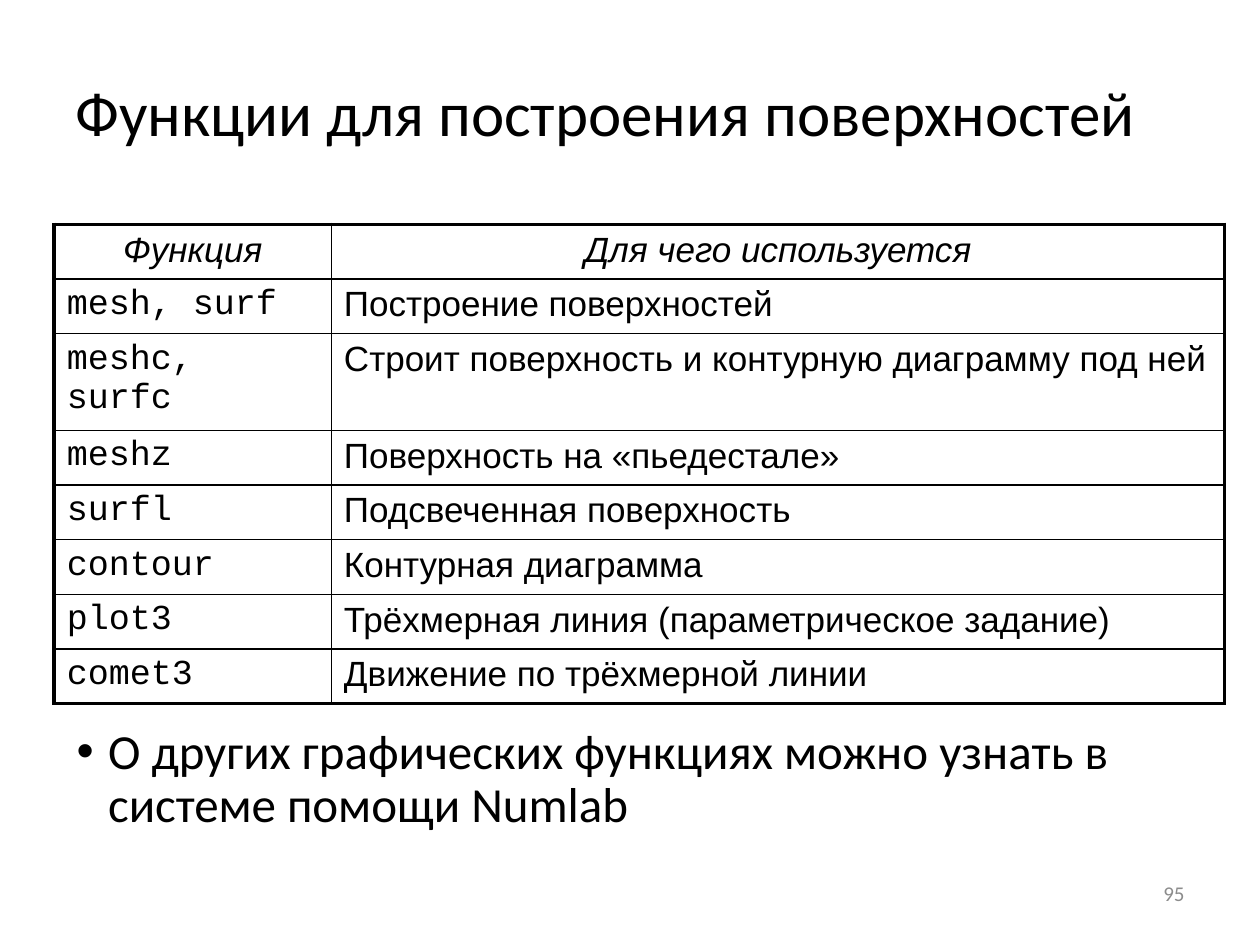
from lxml.etree import SubElement
from pptx import Presentation
from pptx.dml.color import RGBColor
from pptx.enum.text import MSO_ANCHOR, PP_ALIGN
from pptx.oxml.ns import qn
from pptx.util import Inches, Pt

BLACK = RGBColor(0, 0, 0)
GRAY = RGBColor(0x8C, 0x8C, 0x8C)

ROWS = [
    ("Функция", "Для чего используется", 0.41),
    ("mesh, surf", "Построение поверхностей", 0.41),
    ("meshc, surfc", "Строит поверхность и контурную диаграмму под ней", 0.73),
    ("meshz", "Поверхность на «пьедестале»", 0.41),
    ("surfl", "Подсвеченная поверхность", 0.41),
    ("contour", "Контурная диаграмма", 0.41),
    ("plot3", "Трёхмерная линия (параметрическое задание)", 0.41),
    ("comet3", "Движение по трёхмерной линии", 0.41),
]


def write(para, text, size, font="Calibri", color=BLACK, italic=False):
    run = para.add_run()
    run.text = text
    run.font.size = Pt(size)
    run.font.name = font
    run.font.color.rgb = color
    run.font.italic = italic


def add_text(left, top, width, height, anchor, text, size, color=BLACK):
    box = slide.shapes.add_textbox(Inches(left), Inches(top), Inches(width), Inches(height))
    frame = box.text_frame
    frame.word_wrap = True
    frame.vertical_anchor = anchor
    para = frame.paragraphs[0]
    write(para, text, size, color=color)
    return para


deck = Presentation()
deck.slide_width = Inches(10)
deck.slide_height = Inches(7.5)
slide = deck.slides.add_slide(deck.slide_layouts[6])

page = add_text(7.17, 6.83, 2.33, 0.52, MSO_ANCHOR.MIDDLE, "95", 12, GRAY)
page.alignment = PP_ALIGN.RIGHT

title = add_text(0.5, 0.3, 9, 1.25, MSO_ANCHOR.MIDDLE, "Функции для построения поверхностей", 36)
title.line_spacing = 0.9

total = sum(high for *_, high in ROWS)
frame = slide.shapes.add_table(
    len(ROWS), 2, Inches(0.43), Inches(1.78), Inches(9.29), Inches(total))
table = frame.table
table.first_row = False
table.horz_banding = False
table.columns[0].width = Inches(2.2)
table.columns[1].width = Inches(7.09)

last = len(ROWS) - 1
for r, (*row, high) in enumerate(ROWS):
    table.rows[r].height = Inches(high)
    for c, text in enumerate(row):
        cell = table.cell(r, c)
        para = cell.text_frame.paragraphs[0]
        if r == 0:
            para.alignment = PP_ALIGN.CENTER
        font = "Courier New" if r and c == 0 else "Arial"
        write(para, text, 20, font, italic=r == 0)
        props = cell._tc.get_or_add_tcPr()
        sides = {"L": c == 0, "R": c == 1, "T": r == 0, "B": r == last}
        for side, outer in sides.items():
            width = Pt(2.25 if outer else 1)
            line = SubElement(props, qn("a:ln" + side), w=str(width))
            fill = SubElement(line, qn("a:solidFill"))
            SubElement(fill, qn("a:srgbClr"), val=str(BLACK))
        cell.fill.background()

note = add_text(0.51, 5.72, 9, 1.06, MSO_ANCHOR.TOP,
                "О других графических функциях можно узнать в системе помощи Numlab", 28)
note.line_spacing = 0.9
note.space_before = Pt(10)
props = note._p.get_or_add_pPr()
props.set("marL", str(Inches(0.25)))
props.set("indent", str(Inches(-0.25)))
SubElement(props, qn("a:buFont"), typeface="Arial")
SubElement(props, qn("a:buChar"), char="•")

deck.save("out.pptx")
